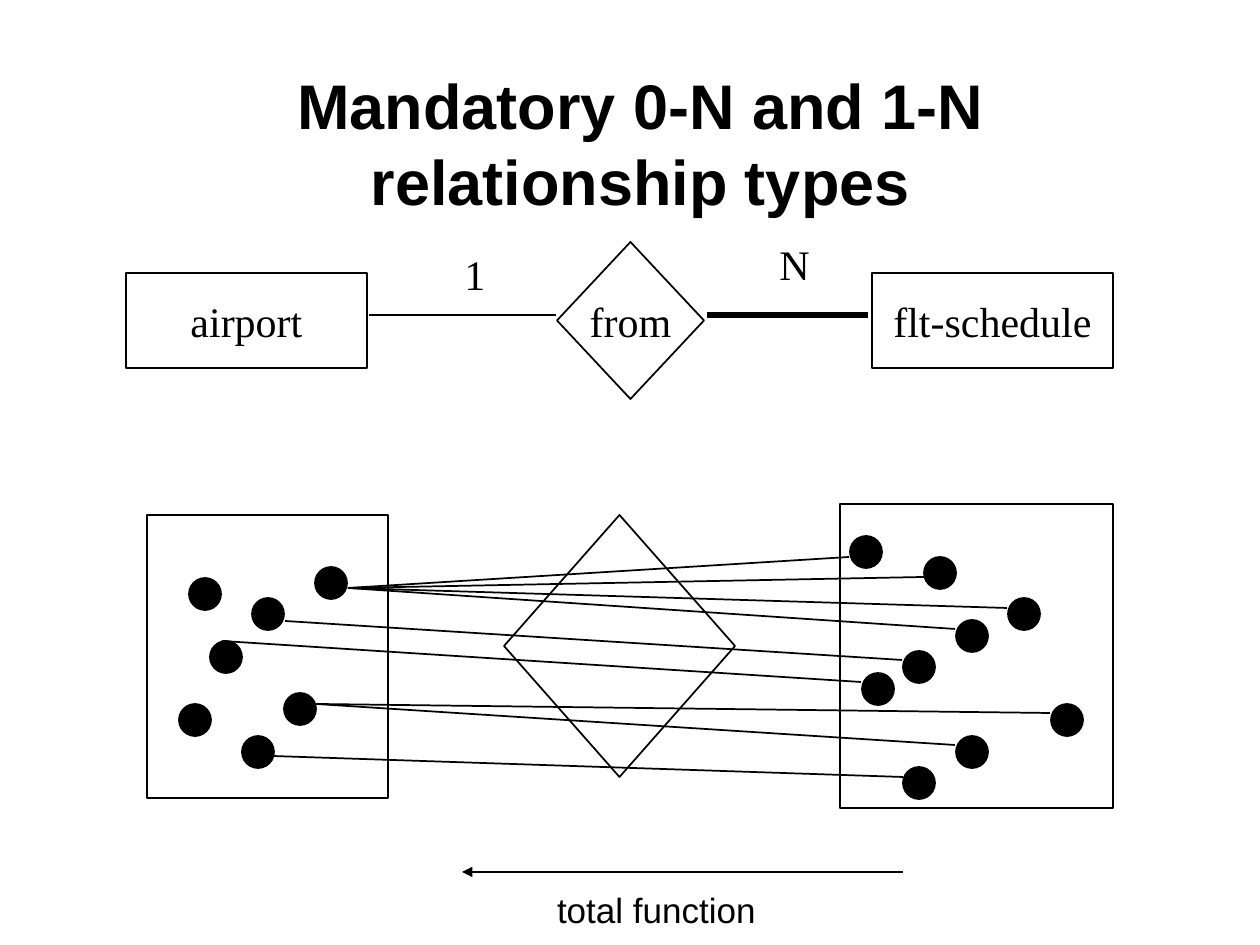
from lxml import etree
from pptx import Presentation, util as u
from pptx.dml.color import RGBColor
from pptx.enum import shapes, text
from pptx.oxml.ns import qn

SCALE = 914400 / 126
BLACK = "000000"
SERIF = "Times New Roman"
SANS = "Arial"
DOT = 32
BOX = shapes.MSO_SHAPE.RECTANGLE
DIAMOND = shapes.MSO_SHAPE.DIAMOND
CENTER = text.PP_ALIGN.CENTER
LEFT = text.PP_ALIGN.LEFT

ENTITIES = [
    (BOX, (126, 273, 241, 95), "airport"),
    (BOX, (872, 273, 241, 95), "flt-schedule"),
    (DIAMOND, (557, 242, 147, 157), "from"),
]
SETS = [
    (BOX, (147, 515, 241, 283)),
    (BOX, (840, 504, 273, 304)),
    (DIAMOND, (504, 515, 231, 262)),
]
AIRPORT_DOTS = [(189, 578), (252, 598), (315, 567), (242, 736),
                (284, 693), (210, 641), (179, 704)]
SCHEDULE_DOTS = [(956, 620), (956, 736), (1008, 598), (924, 557), (1051, 704),
                 (862, 673), (903, 651), (903, 767), (850, 536)]
LINKS = {
    (348, 588): [(849, 557), (924, 577), (1007, 608), (955, 629)],
    (285, 621): [(902, 660)],
    (222, 641): [(861, 682)],
    (316, 704): [(1050, 713), (955, 745)],
    (273, 756): [(903, 777)],
}


def px(*values):
    return [u.Emu(round(v * SCALE)) for v in values]


def color(value):
    return RGBColor.from_string(value)


def write(tf, words, size, font, align=CENTER, anchor=text.MSO_ANCHOR.MIDDLE,
          wrap=True, bold=False):
    tf.word_wrap = wrap
    tf.vertical_anchor = anchor
    p = tf.paragraphs[0]
    p.alignment = align
    r = p.add_run()
    r.text = words
    for name, value in {"size": u.Pt(size), "name": font, "bold": bold}.items():
        setattr(r.font, name, value)
    r.font.color.rgb = color(BLACK)


def add_label(container, at, words, size, font, **style):
    s = container.add_textbox(*px(*at))
    write(s.text_frame, words, size, font, **style)


def add_outline(container, kind, at, words=None, fill=None):
    s = container.add_shape(kind, *px(*at))
    s.shadow.inherit = False
    if fill:
        s.fill.solid()
        s.fill.fore_color.rgb = color(fill)
    else:
        s.fill.background()
    s.line.color.rgb = color(BLACK)
    s.line.width = u.Pt(1)
    if words:
        write(s.text_frame, words, 24, SERIF, wrap=False)


def add_line(container, start, end, width=1, arrow=False):
    s = container.add_connector(shapes.MSO_CONNECTOR.STRAIGHT, *px(*start, *end))
    s.line.color.rgb = color(BLACK)
    s.line.width = u.Pt(width)
    if arrow:
        etree.SubElement(s.line._get_or_add_ln(), qn("a:tailEnd"), type="triangle")
    etree.SubElement(s._element.spPr, qn("a:effectLst"))


def add_schema(container):
    for kind, at, words in ENTITIES:
        add_outline(container, kind, at, words)
    add_line(container, (369, 315), (556, 315))
    add_line(container, (707, 315), (868, 315), width=4)
    for at, words in [((452, 242, 42, 63), "1"), ((767, 232, 42, 63), "N")]:
        add_label(container, at, words, 24, SERIF, align=LEFT,
                  anchor=text.MSO_ANCHOR.TOP)


def add_instances(container):
    for kind, at in SETS:
        add_outline(container, kind, at)
    for x, y in AIRPORT_DOTS + SCHEDULE_DOTS:
        add_outline(container, shapes.MSO_SHAPE.OVAL, (x, y, DOT, DOT), fill=BLACK)
    for start, ends in LINKS.items():
        for end in ends:
            add_line(container, start, end)


def main():
    prs = Presentation()
    prs.slide_width, prs.slide_height = px(1260, 945)
    tree = prs.slides.add_slide(prs.slide_layouts[6]).shapes
    add_label(tree, (105, 63, 1071, 158), "Mandatory 0-N and 1-N relationship types",
              36, SANS, bold=True)
    add_schema(tree.add_group_shape().shapes)
    add_label(tree, (536, 882, 241, 54), "total function", 20, SANS,
              anchor=text.MSO_ANCHOR.TOP)
    add_line(tree, (903, 872), (462, 872), arrow=True)
    add_instances(tree.add_group_shape().shapes)
    prs.save("out.pptx")


if __name__ == "__main__":
    main()
